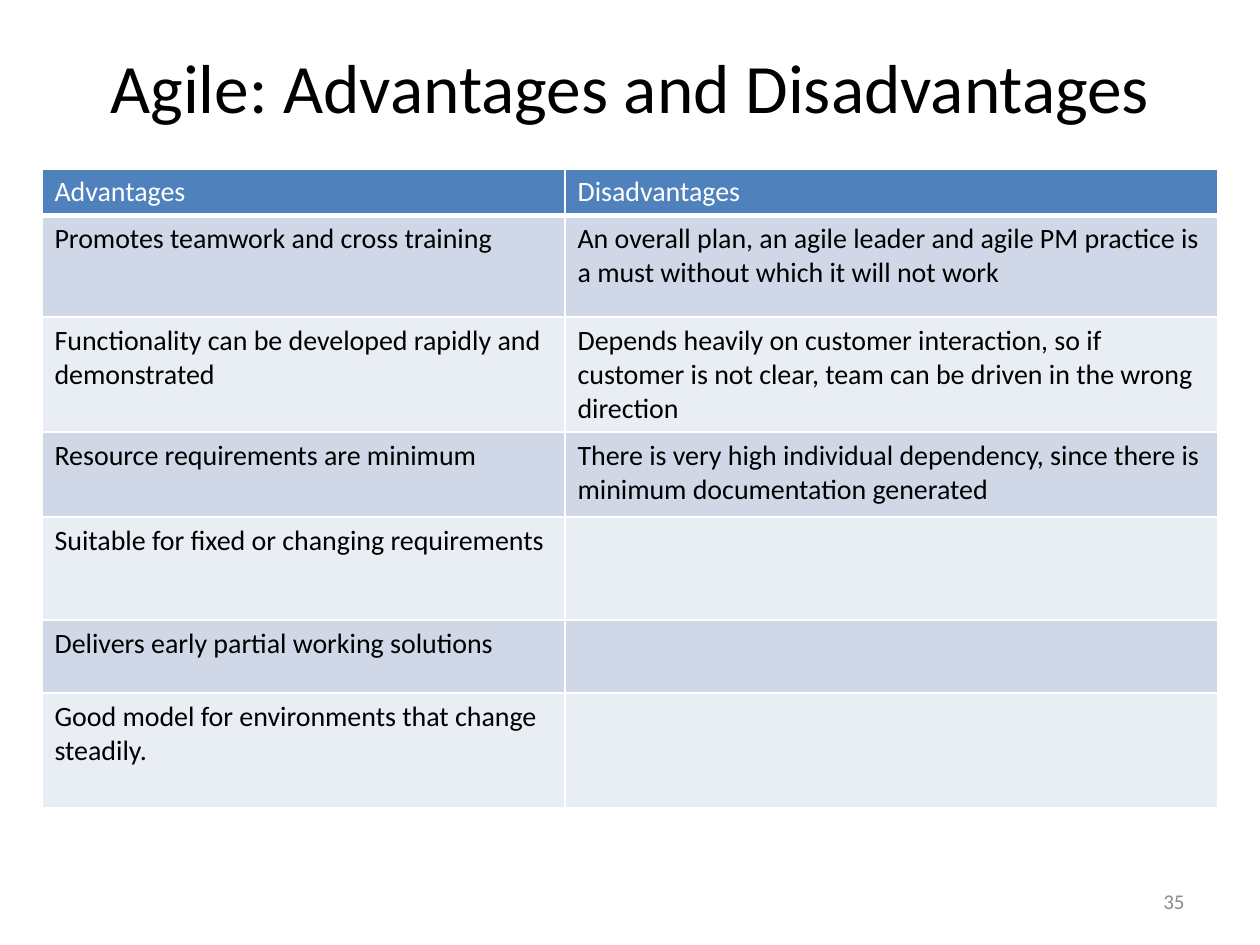
from dataclasses import dataclass
from typing import Any

import pptx
import pptx.dml.color
import pptx.enum.text
import pptx.oxml
import pptx.oxml.ns
import pptx.util

EMU_PER_PX = 914400 / 126
ALIGN = pptx.enum.text.PP_ALIGN
ANCHOR = pptx.enum.text.MSO_ANCHOR


@dataclass(frozen=True)
class Theme:
    font: str = "Calibri"
    text: str = "000000"
    muted: str = "8C8C8C"
    white: str = "FFFFFF"
    header: str = "4F81BD"
    bands: tuple[str, str] = ("D0D8E8", "E9EDF4")
    title_pt: float = 39.6
    cell_pt: float = 16
    number_pt: float = 12
    rule_pt: int = 1
    header_rule_pt: int = 3


@dataclass(frozen=True)
class Box:
    left: int
    top: int
    width: int
    height: int

    def emu(self) -> list[int]:
        return [px(v) for v in (self.left, self.top, self.width, self.height)]


@dataclass(frozen=True)
class Row:
    height: int
    advantage: str
    disadvantage: str = ""


THEME = Theme()
TITLE_BOX = Box(63, 42, 1134, 88)
NUMBER_BOX = Box(903, 876, 294, 50)
TABLE_LEFT, TABLE_TOP = 42, 169
COLUMNS = (523, 653)
ROWS = (
    Row(46, "Advantages", "Disadvantages"),
    Row(102, "Promotes teamwork and cross training",
        "An overall plan, an agile leader and agile PM practice is a must "
        "without which it will not work"),
    Row(115, "Functionality can be developed rapidly and demonstrated",
        "Depends heavily on customer interaction, so if customer is not clear, "
        "team can be driven in the wrong direction"),
    Row(85, "Resource requirements are minimum",
        "There is very high individual dependency, since there is minimum "
        "documentation generated"),
    Row(103, "Suitable for fixed or changing requirements"),
    Row(73, "Delivers early partial working solutions"),
    Row(115, "Good model for environments that change steadily."),
)


def px(value: int) -> int:
    return round(value * EMU_PER_PX)


def rgb(value: str) -> pptx.dml.color.RGBColor:
    return pptx.dml.color.RGBColor.from_string(value)


def write(tf: Any, text: str, size: float, color: str, align: Any = ALIGN.LEFT) -> None:
    tf.text = text
    p = tf.paragraphs[0]
    p.alignment = align
    for r in p.runs:
        r.font.name = THEME.font
        r.font.size = pptx.util.Pt(size)
        r.font.bold = False
        r.font.color.rgb = rgb(color)


def set_borders(cell: Any, top: int, bottom: int) -> None:
    """Draw white cell borders; the lines must precede the fill in tcPr."""
    tc_pr = cell._tc.get_or_add_tcPr()
    widths = {"L": THEME.rule_pt, "R": THEME.rule_pt, "T": top, "B": bottom}
    for i, (side, width) in enumerate(widths.items()):
        tc_pr.insert(i, pptx.oxml.parse_xml(
            f'<a:ln{side} {pptx.oxml.ns.nsdecls("a")} w="{pptx.util.Pt(width)}">'
            f'<a:solidFill><a:srgbClr val="{THEME.white}"/></a:solidFill></a:ln{side}>'))


def add_title(s: Any, text: str) -> None:
    sp = s.shapes.title
    sp.left, sp.top, sp.width, sp.height = TITLE_BOX.emu()
    tf = sp.text_frame
    tf.vertical_anchor = ANCHOR.MIDDLE
    tf.auto_size = pptx.enum.text.MSO_AUTO_SIZE.NONE
    write(tf, text, THEME.title_pt, THEME.text, ALIGN.CENTER)


def add_page_number(s: Any, text: str) -> None:
    tf = s.shapes.add_textbox(*NUMBER_BOX.emu()).text_frame
    tf.word_wrap = True
    tf.vertical_anchor = ANCHOR.MIDDLE
    write(tf, text, THEME.number_pt, THEME.muted, ALIGN.RIGHT)


def add_comparison(s: Any, rows: tuple[Row, ...]) -> None:
    box = Box(TABLE_LEFT, TABLE_TOP, sum(COLUMNS), sum(row.height for row in rows))
    table = s.shapes.add_table(len(rows), len(COLUMNS), *box.emu()).table
    for column, width in zip(table.columns, COLUMNS):
        column.width = px(width)
    for i, row in enumerate(rows):
        table.rows[i].height = px(row.height)
        fill = THEME.bands[(i - 1) % 2] if i else THEME.header
        color = THEME.text if i else THEME.white
        top = THEME.header_rule_pt if i == 1 else THEME.rule_pt
        bottom = THEME.rule_pt if i else THEME.header_rule_pt
        for j, text in enumerate((row.advantage, row.disadvantage)):
            cell = table.cell(i, j)
            cell.fill.solid()
            cell.fill.fore_color.rgb = rgb(fill)
            set_borders(cell, top, bottom)
            if text:
                write(cell.text_frame, text, THEME.cell_pt, color)


def main() -> None:
    prs = pptx.Presentation()
    prs.slide_width, prs.slide_height = px(1260), px(945)
    s = prs.slides.add_slide(prs.slide_layouts.get_by_name("Title Only"))
    add_title(s, "Agile: Advantages and Disadvantages")
    add_page_number(s, "35")
    add_comparison(s, ROWS)
    prs.save("out.pptx")


if __name__ == "__main__":
    main()
